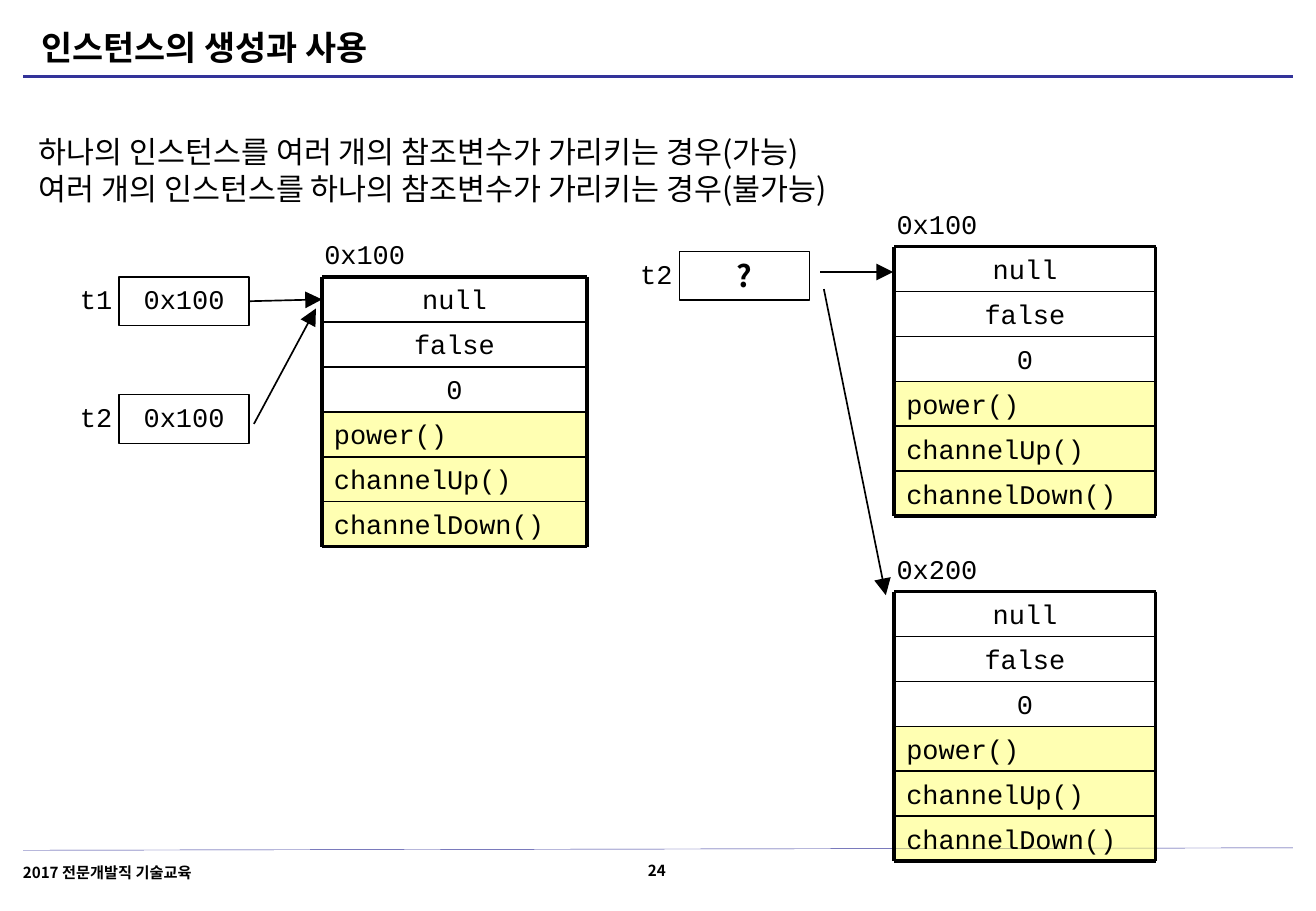
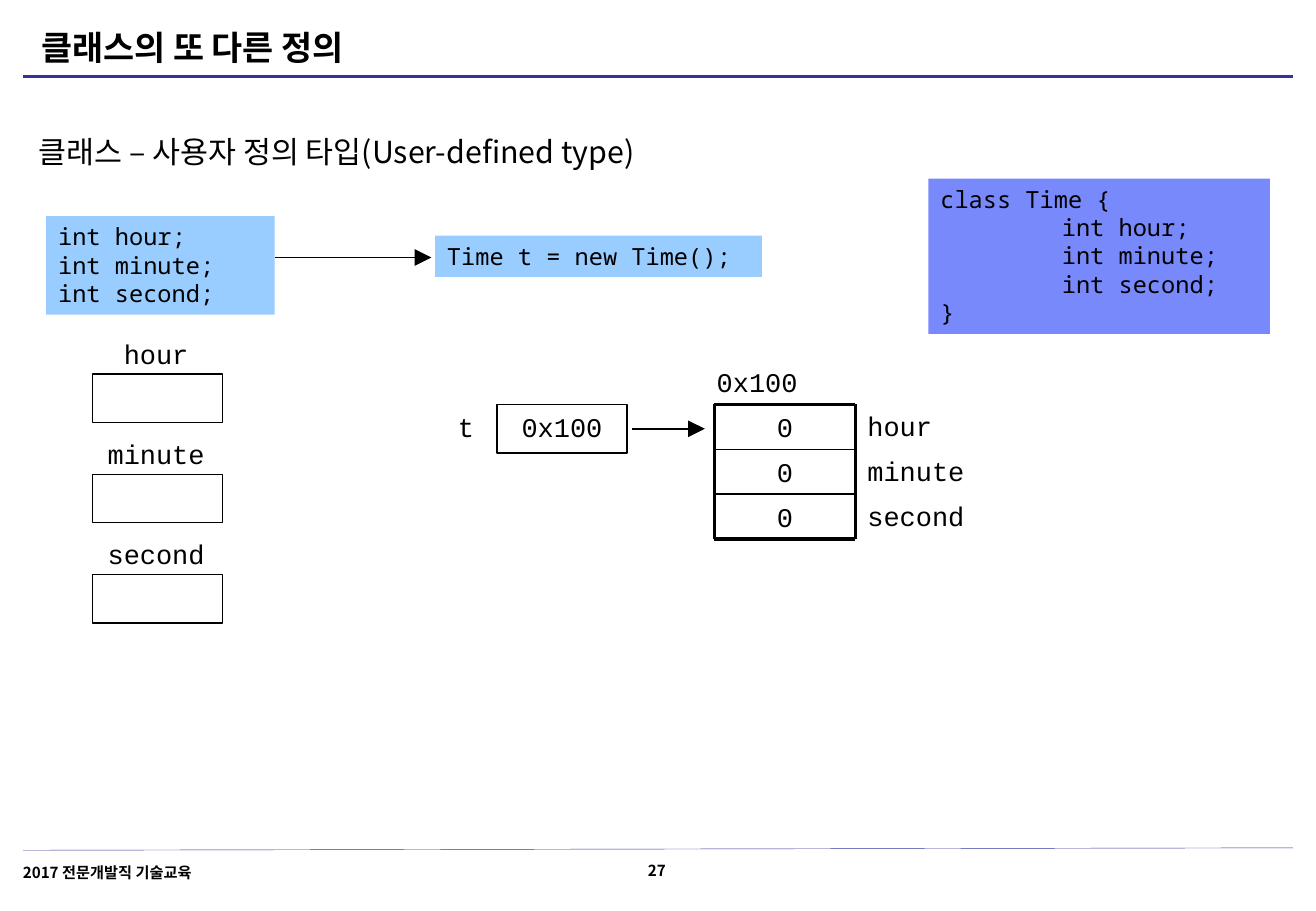
from lxml import etree
from pptx import Presentation
from pptx.dml.color import RGBColor
from pptx.enum.shapes import MSO_CONNECTOR, MSO_SHAPE
from pptx.enum.text import MSO_ANCHOR, PP_ALIGN
from pptx.oxml.ns import qn
from pptx.util import Inches, Pt

STRAIGHT = MSO_CONNECTOR.STRAIGHT
RECTANGLE = MSO_SHAPE.RECTANGLE
TOP, MIDDLE, BOTTOM = MSO_ANCHOR.TOP, MSO_ANCHOR.MIDDLE, MSO_ANCHOR.BOTTOM
LEFT, CENTER = PP_ALIGN.LEFT, PP_ALIGN.CENTER
LEFT_SIDE, RIGHT_SIDE = 1, 3

COLORS = {
    "black": "000000",
    "rule": "333399",
    "method": "FFFF66",
    "class_code": "7889FB",
    "code": "99CCFF",
}
KOREAN, COURIER, MONO = "Noto Sans CJK KR", "Courier New", "Noto Sans Mono"
ROW_HEIGHT = 0.37
BOX_WIDTH, BOX_HEIGHT = 1.07, 0.4
TELEVISION_FIELDS = ["null", "false", "0"]
TELEVISION_METHODS = ["power()", "channelUp()", "channelDown()"]


def color(name):
    """Return the named colour."""
    return RGBColor.from_string(COLORS[name])


def add_tab_stop(paragraph, position):
    """Add a left tab stop to a paragraph."""
    tab_list = etree.SubElement(paragraph._p.get_or_add_pPr(), qn("a:tabLst"))
    etree.SubElement(tab_list, qn("a:tab"), pos=str(Inches(position)), algn="l")


def write_text(shape, text, size=16, font=COURIER, bold=False, align=LEFT,
               anchor=TOP, spacing=None, margins=(0.1, 0.05)):
    """Write text into a shape, one paragraph per line."""
    frame = shape.text_frame
    frame.word_wrap = True
    frame.vertical_anchor = anchor
    frame.margin_left = frame.margin_right = Inches(margins[0])
    frame.margin_top = frame.margin_bottom = Inches(margins[1])
    for index, line in enumerate(text.split("\n")):
        paragraph = frame.add_paragraph() if index else frame.paragraphs[0]
        paragraph.alignment = align
        if spacing:
            paragraph.line_spacing = spacing
        if "\t" in line:
            add_tab_stop(paragraph, 1)
        run = paragraph.add_run()
        run.text = line
        run.font.size = Pt(size)
        run.font.bold = bold
        run.font.color.rgb = color("black")
        run.font.name = font
        east_asian = etree.SubElement(run.font._element, qn("a:ea"))
        east_asian.set("typeface", font)


def add_label(slide, text, left, top, width=1.15, height=ROW_HEIGHT, **text_format):
    """Add a text box."""
    label = slide.shapes.add_textbox(
        Inches(left), Inches(top), Inches(width), Inches(height))
    write_text(label, text, **text_format)
    return label


def add_rectangle(slide, left, top, width, height, text="", fill=None,
                  opacity=100, line_width=None, **text_format):
    """Add a rectangle with optional fill, outline and text."""
    rectangle = slide.shapes.add_shape(
        RECTANGLE, Inches(left), Inches(top), Inches(width), Inches(height))
    rectangle.shadow.inherit = False
    if fill:
        rectangle.fill.solid()
        rectangle.fill.fore_color.rgb = color(fill)
        if opacity < 100:
            fill_color = rectangle.element.spPr.find(".//" + qn("a:srgbClr"))
            etree.SubElement(fill_color, qn("a:alpha")).set("val", str(opacity * 1000))
    else:
        rectangle.fill.background()
    if line_width:
        rectangle.line.color.rgb = color("black")
        rectangle.line.width = Pt(line_width)
    else:
        rectangle.line.fill.background()
    if text:
        write_text(rectangle, text, **text_format)
    return rectangle


def add_line(slide, start, end, line_color="black", width=1):
    """Add a straight line between two points."""
    line = slide.shapes.add_connector(
        STRAIGHT, *(Inches(value) for value in (*start, *end)))
    line.line.color.rgb = color(line_color)
    line.line.width = Pt(width)
    etree.SubElement(line.element.spPr, qn("a:effectLst"))
    return line


def add_arrow(slide, start, end, source=None, target=None):
    """Add an arrow, joined to source and target when given."""
    arrow = add_line(slide, start, end)
    etree.SubElement(arrow.line._get_or_add_ln(), qn("a:tailEnd"),
                     type="triangle", w="lg", len="lg")
    if source:
        arrow.begin_connect(source, RIGHT_SIDE)
    if target:
        arrow.end_connect(target, LEFT_SIDE)


def add_box(slide, left, top, text="", **text_format):
    """Add the box that stands for a variable."""
    return add_rectangle(slide, left, top, BOX_WIDTH, BOX_HEIGHT, text,
                         line_width=0.75, align=CENTER, **text_format)


def add_variable(slide, name, left, top, value, **text_format):
    """Add a variable box with its name on the left."""
    add_label(slide, name, left - 0.42, top, width=0.5)
    return add_box(slide, left, top, value, **text_format)


def add_instance(slide, address, left, top, width, fields, methods=()):
    """Add an instance in memory and return its first cell."""
    add_label(slide, address, left - 0.08, top - ROW_HEIGHT)
    cells = []
    for index, text in enumerate([*fields, *methods]):
        is_method = index >= len(fields)
        cells.append(add_rectangle(
            slide, left, top + index * ROW_HEIGHT, width, ROW_HEIGHT, text,
            fill="method" if is_method else None, opacity=50,
            align=LEFT if is_method else CENTER))
    right, bottom = left + width, top + len(cells) * ROW_HEIGHT
    for index in range(len(cells) + 1):
        y = top + index * ROW_HEIGHT
        add_line(slide, (left, y), (right, y),
                 width=2.25 if index in (0, len(cells)) else 1)
    for x in (left, right):
        add_line(slide, (x, top), (x, bottom), width=2.25)
    return cells[0]


def add_code(slide, code, left, top, width, height, fill):
    """Add a filled block of code."""
    add_rectangle(slide, left, top, width, height, code, fill=fill,
                  size=14, font=MONO)


def add_page(presentation, title, body, number):
    """Add a slide with title, rules, body text and footer."""
    slide = presentation.slides.add_slide(presentation.slide_layouts[6])
    add_line(slide, (0.19, 7), (10.64, 6.98), "rule", 0.25)
    add_line(slide, (0.19, 0.63), (10.64, 0.63), "rule", 2)
    add_label(slide, "2017 전문개발직 기술교육", 0.09, 7.04, 2.96, 0.27,
              size=9, font=KOREAN, bold=True, spacing=1.1)
    add_label(slide, number, 4.99, 7.05, 0.83, 0.24,
              size=9, font=KOREAN, bold=True, align=CENTER, anchor=BOTTOM)
    add_label(slide, title, 0.24, 0.17, 8.59, 0.44,
              size=20, font=KOREAN, bold=True, anchor=MIDDLE)
    add_label(slide, body, 0.25, 1.07, 10.41, 0.66,
              size=18, font=KOREAN, margins=(0.07, 0.03))
    return slide


def build_reference_slide(presentation):
    """Build the slide on references to instances."""
    slide = add_page(
        presentation, "인스턴스의 생성과 사용",
        "하나의 인스턴스를 여러 개의 참조변수가 가리키는 경우(가능)\n"
        "여러 개의 인스턴스를 하나의 참조변수가 가리키는 경우(불가능)", "24")

    first = add_variable(slide, "t1", 0.98, 2.28, "0x100")
    add_variable(slide, "t2", 0.98, 3.25, "0x100")
    shared = add_instance(slide, "0x100", 2.65, 2.28, 2.18,
                          TELEVISION_FIELDS, TELEVISION_METHODS)
    add_arrow(slide, (2.05, 2.48), (2.65, 2.48), first, shared)
    add_arrow(slide, (2.09, 3.49), (2.6, 2.54))

    add_variable(slide, "t2", 5.59, 2.07, "?", size=18, font=KOREAN, bold=True)
    for address, top in (("0x100", 2.03), ("0x200", 4.87)):
        add_instance(slide, address, 7.36, top, 2.15,
                     TELEVISION_FIELDS, TELEVISION_METHODS)
    add_arrow(slide, (6.75, 2.24), (7.35, 2.24))
    add_arrow(slide, (6.78, 2.38), (7.29, 4.9))


def build_type_slide(presentation):
    """Build the slide on classes as user-defined types."""
    slide = add_page(presentation, "클래스의 또 다른 정의",
                     "클래스 – 사용자 정의 타입(User-defined type)", "27")
    names = ["hour", "minute", "second"]
    for index, name in enumerate(names):
        top = 2.73 + index * 0.825
        add_label(slide, name, 0.72, top, width=1.13, align=CENTER)
        add_box(slide, 0.76, top + 0.35)
        add_label(slide, name, 7.04, 3.32 + index * ROW_HEIGHT)

    add_variable(slide, "t", 4.09, 3.33, "0x100")
    add_instance(slide, "0x100", 5.88, 3.33, 1.16, ["0"] * len(names))
    add_arrow(slide, (5.2, 3.53), (5.8, 3.53))

    declarations = [f"int {name};" for name in names]
    members = [f"\t{declaration}" for declaration in declarations]
    add_code(slide, "\n".join(["class Time {", *members, "}"]),
             7.64, 1.47, 2.81, 1.28, "class_code")
    add_code(slide, "\n".join(declarations), 0.38, 1.78, 1.88, 0.81, "code")
    add_code(slide, "Time t = new Time();", 3.58, 1.94, 2.69, 0.34, "code")
    add_arrow(slide, (2.26, 2.12), (3.55, 2.12))


def main():
    """Build and save the presentation."""
    presentation = Presentation()
    presentation.slide_width = Inches(10.83)
    presentation.slide_height = Inches(7.5)
    build_reference_slide(presentation)
    build_type_slide(presentation)
    presentation.save("out.pptx")


if __name__ == "__main__":
    main()
